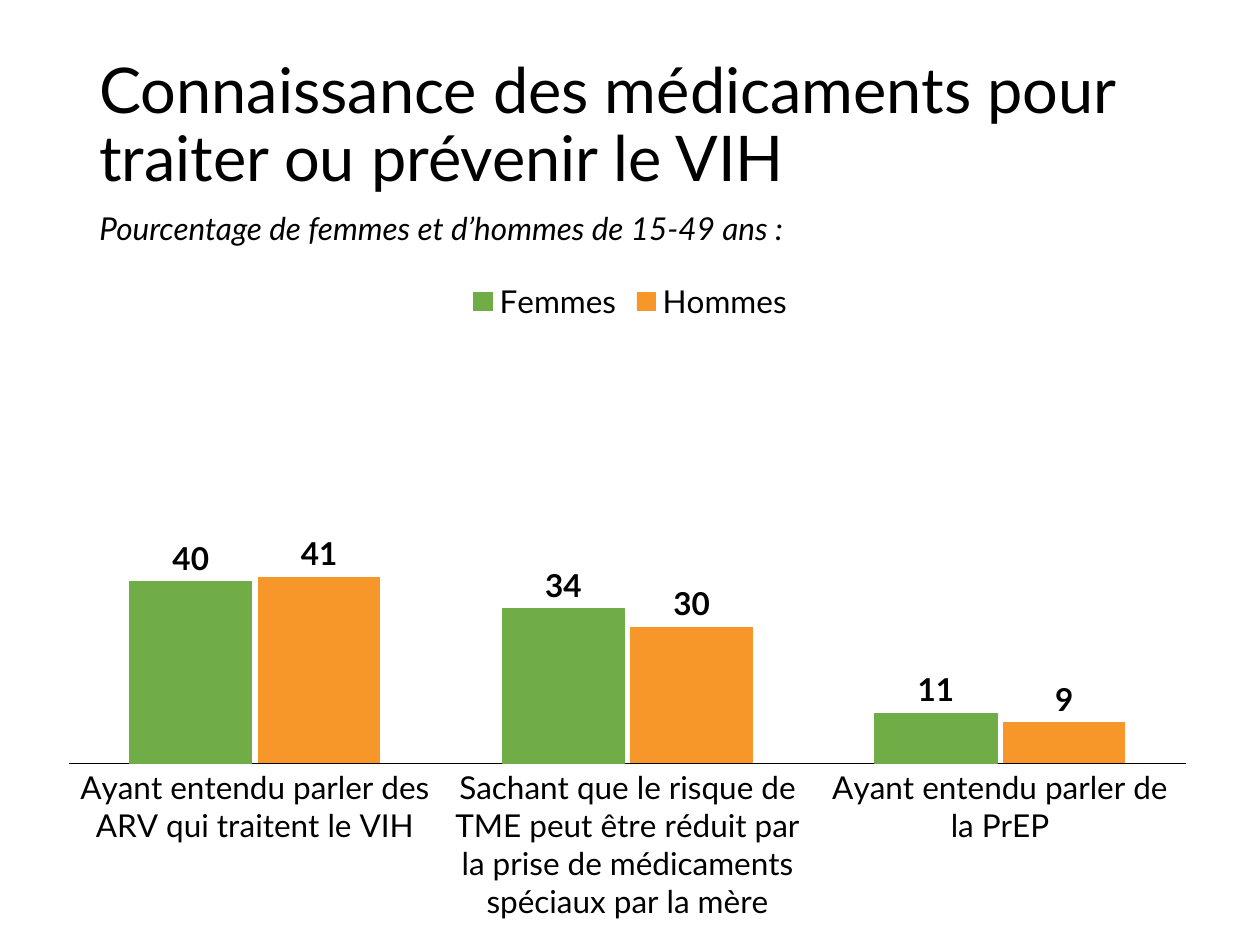
from lxml import etree
from pptx import Presentation
from pptx.chart.data import CategoryChartData
from pptx.dml.color import RGBColor
from pptx.enum.chart import XL_CHART_TYPE, XL_LABEL_POSITION, XL_LEGEND_POSITION, XL_TICK_MARK
from pptx.enum.text import MSO_ANCHOR
from pptx.oxml.ns import qn
from pptx.util import Pt

COLUMNS = XL_CHART_TYPE.COLUMN_CLUSTERED
OUT_END = XL_LABEL_POSITION.OUTSIDE_END
TOP_LEGEND = XL_LEGEND_POSITION.TOP
NO_TICK = XL_TICK_MARK.NONE
TOP, MIDDLE = MSO_ANCHOR.TOP, MSO_ANCHOR.MIDDLE

PX = 914400 / 126
FONT = "Lato"
COLORS = {"text": "000000", "Femmes": "70AD47", "Hommes": "F89729"}
CATEGORIES = [
    "Ayant entendu parler des ARV qui traitent le VIH",
    "Sachant que le risque de TME peut être réduit par la prise de "
    "médicaments spéciaux par la mère",
    "Ayant entendu parler de la PrEP",
]
VALUES = {"Femmes": [40, 34, 11], "Hommes": [41, 30, 9]}
PLOT = {"x": 0, "y": 0.065, "w": 0.995, "h": 0.693}


def px(*lengths):
    return [round(n * PX) for n in lengths]


def color(name):
    return RGBColor.from_string(COLORS[name])


def style(font, size=18, bold=False, italic=False):
    font.name, font.size = FONT, Pt(size)
    font.bold, font.italic = bold, italic
    font.color.rgb = color("text")


def add_text(slide, text, box, anchor=TOP, **fmt):
    frame = slide.shapes.add_textbox(*px(*box)).text_frame
    frame.word_wrap = True
    frame.vertical_anchor = anchor
    line = frame.paragraphs[0]
    line.line_spacing = 0.9
    run = line.add_run()
    run.text = text
    style(run.font, **fmt)


def place_plot(chart):
    """Fix the inner plot area as fractions of the chart."""
    area = chart._chartSpace.chart.plotArea
    for old in area.findall(qn("c:layout")):
        area.remove(old)
    layout = etree.Element(qn("c:layout"))
    manual = etree.SubElement(layout, qn("c:manualLayout"))
    rules = {"layoutTarget": "inner", "xMode": "edge", "yMode": "edge", **PLOT}
    for tag, val in rules.items():
        etree.SubElement(manual, qn(f"c:{tag}")).set("val", str(val))
    area.insert(0, layout)


def style_axes(chart):
    cats, vals = chart.category_axis, chart.value_axis
    cats.major_tick_mark = cats.minor_tick_mark = NO_TICK
    cats.format.line.color.rgb = color("text")
    cats.format.line.width = Pt(0.75)
    style(cats.tick_labels.font)
    vals.minimum_scale, vals.maximum_scale = 0, 100
    vals.has_major_gridlines = False
    vals.visible = False


def style_series(series):
    series.format.fill.solid()
    series.format.fill.fore_color.rgb = color(series.name)
    series.invert_if_negative = False
    labels = series.data_labels
    labels.show_value = True
    labels.position = OUT_END
    style(labels.font, bold=True)


def add_columns(slide, box):
    data = CategoryChartData(number_format="0")
    data.categories = CATEGORIES
    for name, vals in VALUES.items():
        data.add_series(name, vals)
    chart = slide.shapes.add_chart(COLUMNS, *px(*box), data).chart
    style(chart.font)
    chart.has_title = False
    chart.has_legend = True
    chart.legend.position = TOP_LEGEND
    chart.legend.include_in_layout = False
    style(chart.legend.font)
    style_axes(chart)
    plot = chart.plots[0]
    plot.gap_width, plot.overlap = 100, -5
    plot.vary_by_categories = False
    for series in plot.series:
        style_series(series)
    women = plot.series[0].format.line
    women.color.rgb = color("Femmes")
    women.width = Pt(0.75)
    place_plot(chart)


def main():
    deck = Presentation()
    deck.slide_width, deck.slide_height = px(1260, 945)
    slide = deck.slides.add_slide(deck.slide_layouts[6])
    add_text(slide, "Connaissance des médicaments pour traiter ou prévenir le VIH",
             (87, 50, 1086, 155), anchor=MIDDLE, size=36)
    add_text(slide, "Pourcentage de femmes et d’hommes de 15-49 ans :",
             (87, 207, 1086, 58), italic=True)
    add_columns(slide, (68, 267, 1124, 655))
    deck.save("out.pptx")


if __name__ == "__main__":
    main()
